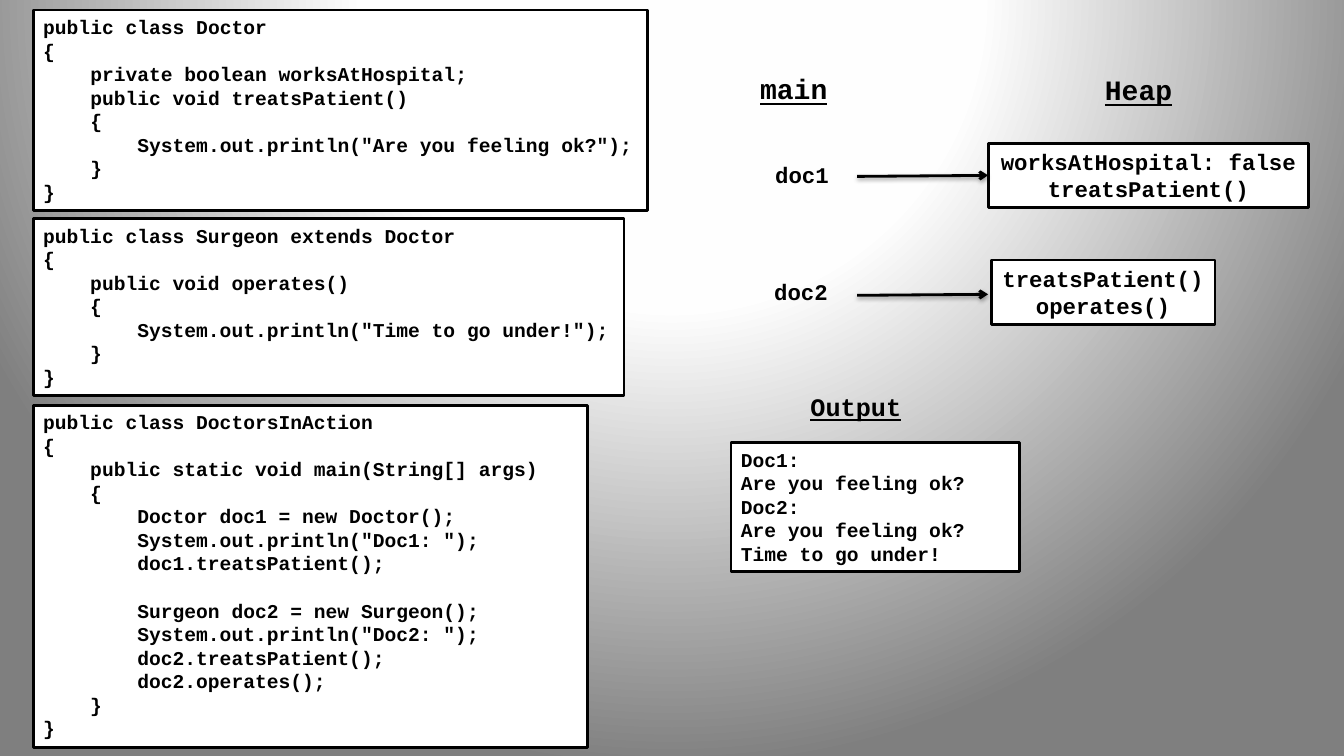
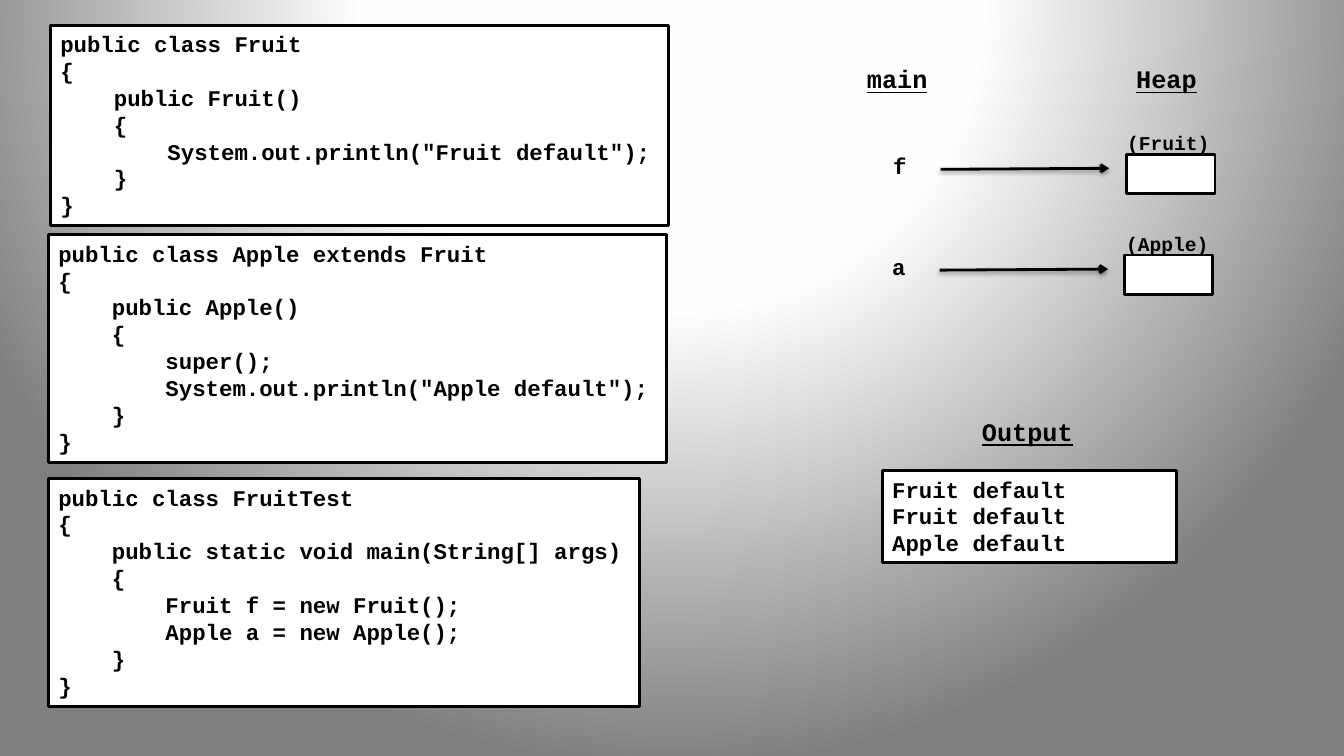
from lxml import etree
from pptx import Presentation
from pptx import util as u
from pptx.dml.color import RGBColor
from pptx.enum import shapes, text
from pptx.oxml import parse_xml
from pptx.oxml.ns import nsdecls, qn

PX = 9144  # 100 px to the inch
FONT = "Courier New"
BLACK = RGBColor(0x00, 0x00, 0x00)
WHITE = RGBColor(0xFF, 0xFF, 0xFF)
NEAR_WHITE = RGBColor(0xFE, 0xFE, 0xFE)
GREY = RGBColor(0x7F, 0x7F, 0x7F)
LINE_WIDTH = u.Pt(2)

# Code and output shown on the slides
DOCTOR = """public class Doctor
{
    private boolean worksAtHospital;
    public void treatsPatient()
    {
        System.out.println("Are you feeling ok?");
    }
}"""

SURGEON = """public class Surgeon extends Doctor
{
    public void operates()
    {
        System.out.println("Time to go under!");
    }
}"""

DOCTORS_IN_ACTION = """public class DoctorsInAction
{
    public static void main(String[] args)
    {
        Doctor doc1 = new Doctor();
        System.out.println("Doc1: ");
        doc1.treatsPatient();

        Surgeon doc2 = new Surgeon();
        System.out.println("Doc2: ");
        doc2.treatsPatient();
        doc2.operates();
    }
}"""

DOCTOR_OUTPUT = """Doc1:
Are you feeling ok?
Doc2:
Are you feeling ok?
Time to go under!"""

FRUIT = """public class Fruit
{
    public Fruit()
    {
        System.out.println("Fruit default");
    }
}"""

APPLE = """public class Apple extends Fruit
{
    public Apple()
    {
        super();
        System.out.println("Apple default");
    }
}"""

FRUIT_TEST = """public class FruitTest
{
    public static void main(String[] args)
    {
        Fruit f = new Fruit();
        Apple a = new Apple();
    }
}"""

FRUIT_OUTPUT = """Fruit default
Fruit default
Apple default"""


def px(*lengths):
    return [u.Emu(n * PX) for n in lengths]


def set_background(master):
    """Circular white-to-grey gradient shared by all slides."""
    stops = "".join(
        f'<a:gs pos="{pos * 1000}"><a:srgbClr val="{color}"/></a:gs>'
        for pos, color in ((0, WHITE), (40, NEAR_WHITE), (100, GREY)))
    c_sld = master.element.cSld
    for old in c_sld.findall(qn("p:bg")):
        c_sld.remove(old)
    c_sld.insert(0, parse_xml(
        f'<p:bg {nsdecls("p", "a")}><p:bgPr><a:gradFill rotWithShape="1">'
        f'<a:gsLst>{stops}</a:gsLst><a:path path="circle">'
        '<a:fillToRect l="50000" t="-80000" r="50000" b="180000"/>'
        '</a:path></a:gradFill><a:effectLst/></p:bgPr></p:bg>'))


def write(sp, content, size, align=text.PP_ALIGN.LEFT, wrap=False, underline=None):
    """One paragraph for each line of content."""
    tf = sp.text_frame
    frame_format = {"word_wrap": wrap,
                    "auto_size": text.MSO_AUTO_SIZE.SHAPE_TO_FIT_TEXT,
                    "vertical_anchor": text.MSO_ANCHOR.TOP}
    for name, value in frame_format.items():
        setattr(tf, name, value)
    font_format = {"name": FONT, "size": u.Pt(size), "bold": True,
                   "underline": underline}
    for i, line in enumerate(content.split("\n")):
        p = tf.add_paragraph() if i else tf.paragraphs[0]
        p.alignment = align
        if not line:  # an empty line of code keeps the height of its font
            end = etree.SubElement(p._p, qn("a:endParaRPr"), sz=str(size * 100), b="1")
            etree.SubElement(end, qn("a:latin"), typeface=FONT)
            continue
        r = p.add_run()
        r.text = line
        for name, value in font_format.items():
            setattr(r.font, name, value)
        r.font.color.rgb = BLACK


def add_box(s, place, content="", size=16, **options):
    """White rectangle with a black frame."""
    sp = s.shapes.add_shape(shapes.MSO_SHAPE.RECTANGLE, *px(*place))
    sp.shadow.inherit = False
    sp.fill.solid()
    sp.fill.fore_color.rgb = WHITE
    sp.line.color.rgb = BLACK
    sp.line.width = LINE_WIDTH
    if content:
        write(sp, content, size, **options)
    return sp


def add_label(s, place, content, size=16, **options):
    write(s.shapes.add_textbox(*px(*place)), content, size, **options)


def add_heading(s, place, content, size=18):
    add_label(s, place, content, size, underline=True)


def add_arrow(s, start, end, target=None):
    """Reference arrow with a soft shadow, joined to the left of target."""
    sp = s.shapes.add_connector(shapes.MSO_CONNECTOR.STRAIGHT, *px(*start, *end))
    if target is not None:
        sp.end_connect(target, 1)
    sp.line.color.rgb = BLACK
    sp.line.width = LINE_WIDTH
    etree.SubElement(sp.line._get_or_add_ln(), qn("a:tailEnd"), type="arrow")
    sp._element.spPr.append(parse_xml(
        f'<a:effectLst {nsdecls("a")}><a:outerShdw blurRad="40000" dist="20000" '
        f'dir="5400000" rotWithShape="0"><a:srgbClr val="{BLACK}">'
        '<a:alpha val="38000"/></a:srgbClr></a:outerShdw></a:effectLst>'))


def build_doctor_slide(s):
    # Classes
    add_box(s, (33, 10, 609, 199), DOCTOR, 14)
    add_box(s, (33, 217, 586, 175), SURGEON, 14)
    add_box(s, (33, 402, 550, 340), DOCTORS_IN_ACTION, 14, wrap=True)

    # Memory
    center = text.PP_ALIGN.CENTER
    add_heading(s, (744, 66, 88, 44), "main", 20)
    add_heading(s, (1086, 67, 88, 44), "Heap", 20)
    doctor = add_box(s, (980, 142, 318, 64),
                     "worksAtHospital: false\ntreatsPatient()", align=center)
    add_label(s, (759, 155, 74, 37), "doc1")
    add_arrow(s, (850, 175), (980, 174), doctor)
    add_box(s, (983, 258, 222, 64), "treatsPatient()\noperates()", align=center)
    add_label(s, (758, 271, 74, 37), "doc2")
    add_arrow(s, (850, 293), (980, 292))

    # Output
    add_heading(s, (794, 383, 111, 40), "Output")
    add_box(s, (725, 439, 286, 128), DOCTOR_OUTPUT, 14, wrap=True)


def build_fruit_slide(s):
    # Classes
    add_box(s, (50, 25, 613, 199), FRUIT)
    add_box(s, (48, 233, 613, 226), APPLE)
    add_box(s, (48, 475, 586, 226), FRUIT_TEST)

    # Memory
    add_heading(s, (850, 58, 81, 40), "main")
    add_heading(s, (1117, 58, 81, 40), "Heap")
    objects = (("f", "(Fruit)", 876, 933, 1117, 125),
               ("a", "(Apple)", 875, 932, 1115, 225))
    for name, kind, name_x, arrow_x, box_x, top in objects:
        add_box(s, (box_x, top + 28, 88, 39))
        add_label(s, (name_x, top + 21, 34, 37), name)
        add_arrow(s, (arrow_x, top + 43), (arrow_x + 167, top + 42))
        add_label(s, (arrow_x + 175, top, 103, 34), kind, 14)

    # Output
    add_heading(s, (964, 408, 111, 40), "Output")
    add_box(s, (875, 467, 292, 91), FRUIT_OUTPUT, wrap=True)


def main():
    prs = Presentation()
    prs.slide_width, prs.slide_height = px(1333, 750)
    set_background(prs.slide_master)
    blank = prs.slide_layouts.get_by_name("Blank")
    for build in (build_doctor_slide, build_fruit_slide):
        build(prs.slides.add_slide(blank))
    prs.save("out.pptx")


if __name__ == "__main__":
    main()
